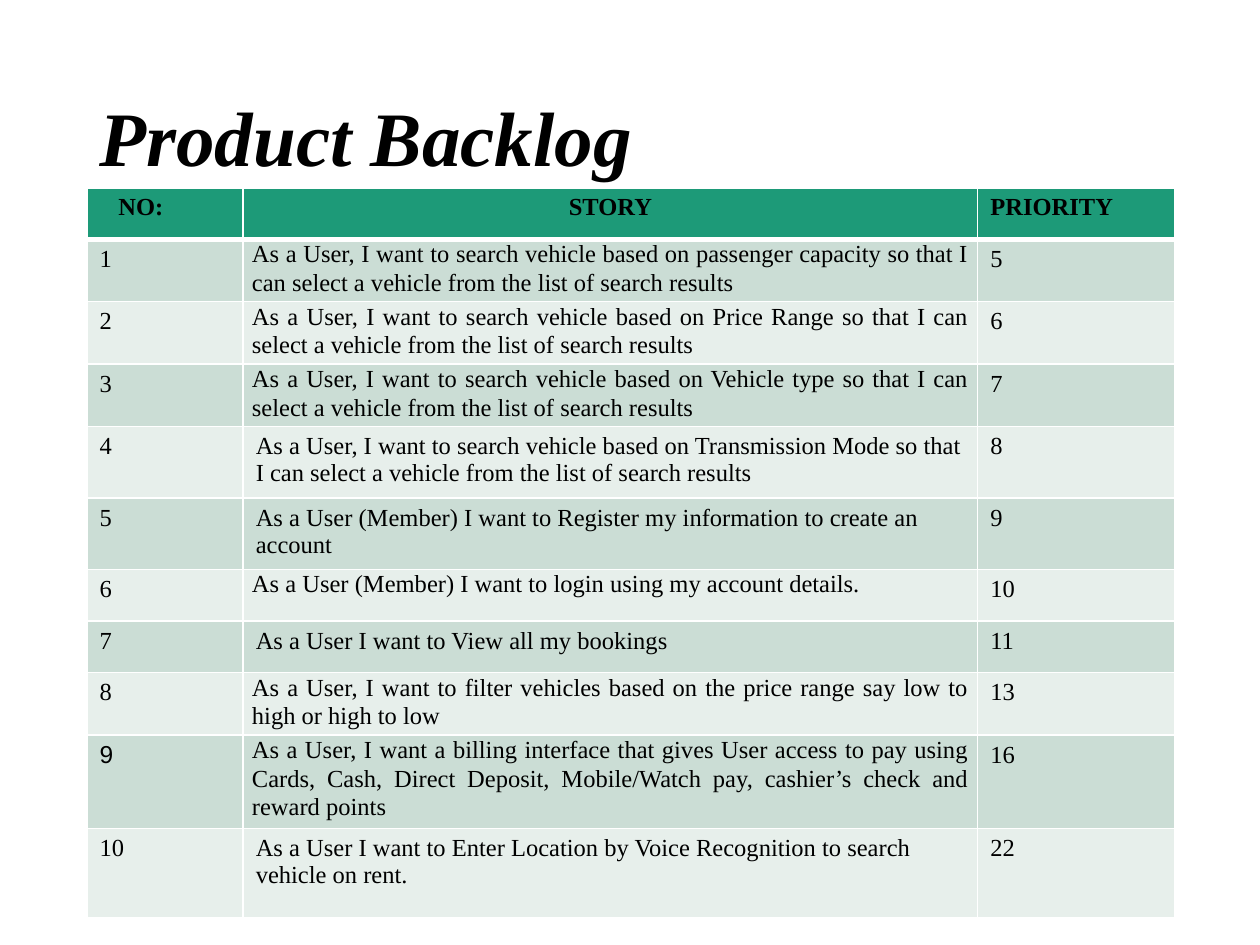
from lxml.etree import SubElement
from pptx import Presentation
from pptx.dml.color import RGBColor as RGB
from pptx.enum.text import MSO_ANCHOR as Anchor, PP_ALIGN as Align
from pptx.oxml.ns import qn
from pptx.util import Inches, Pt

COLORS = {"text": "000000", "line": "FFFFFF", "header": "1D9A78",
          "odd": "CBDDD5", "even": "E7EFEB"}
SERIF, SANS = "Times New Roman", "Arial"
TITLE = "Product Backlog"
HEADER = ("NO:", "STORY", "PRIORITY")
HEADER_H = 0.41
STORIES = [
    ("As a User, I want to search vehicle based on passenger capacity so that I can select a vehicle from the list of search results", 5, 0.47, True),
    ("As a User, I want to search vehicle based on Price Range so that I can select a vehicle from the list of search results", 6, 0.47, True),
    ("As a User, I want to search vehicle based on Vehicle type so that I can select a vehicle from the list of search results", 7, 0.47, True),
    ("As a User, I want to search vehicle based on Transmission Mode so that I can select a vehicle from the list of search results", 8, 0.55, False),
    ("As a User (Member) I want to Register my information to create an account", 9, 0.55, False),
    ("As a User (Member) I want to login using my account details.", 10, 0.41, True),
    ("As a User I want to View all my bookings", 11, 0.41, False),
    ("As a User, I want to filter vehicles based on the price range say low to high or high to low", 13, 0.47, True),
    ("As a User, I want a billing interface that gives User access to pay using Cards, Cash, Direct Deposit, Mobile/Watch pay, cashier’s check and reward points", 16, 0.7, True),
    ("As a User I want to Enter Location by Voice Recognition to search vehicle on rent.", 22, 0.71, False),
]
SANS_NUMBER = 9
COLS = (1.24, 5.83, 1.56)
LEFT, TABLE_TOP = 0.69, 1.49


def add_run(p, text, size, font=SERIF, bold=False, italic=False):
    r = p.add_run()
    r.text = text
    f = r.font
    f.name, f.size, f.bold, f.italic = font, Pt(size), bold, italic
    f.color.rgb = RGB.from_string(COLORS["text"])


def set_borders(cell, top=1, bottom=1):
    tc_pr = cell._tc.get_or_add_tcPr()
    for side, width in (("L", 1), ("R", 1), ("T", top), ("B", bottom)):
        ln = SubElement(tc_pr, qn(f"a:ln{side}"), w=str(Pt(width)))
        fill = SubElement(ln, qn("a:solidFill"))
        SubElement(fill, qn("a:srgbClr"), val=COLORS["line"])


def fill_cell(cell, text, color, align=Align.LEFT, tight=False,
              left=0.1, font=SERIF, bold=False, top=1, bottom=1):
    set_borders(cell, top, bottom)
    cell.fill.solid()
    cell.fill.fore_color.rgb = RGB.from_string(COLORS[color])
    cell.margin_left = Inches(0.07 if tight else left)
    cell.margin_right = Inches(0.07 if tight else 0.1)
    cell.margin_top = cell.margin_bottom = Inches(0 if tight else 0.05)
    p = cell.text_frame.paragraphs[0]
    p.alignment = Align.JUSTIFY if tight else align
    if tight:
        p.line_spacing = 1.06
    add_run(p, text, 14, font, bold)


def add_title(slide):
    box = slide.shapes.add_textbox(Inches(LEFT), Inches(0.4), Inches(8.62), Inches(1.45))
    tf = box.text_frame
    tf.word_wrap = True
    tf.vertical_anchor = Anchor.MIDDLE
    p = tf.paragraphs[0]
    p.line_spacing = 0.9
    add_run(p, TITLE, 44, bold=True, italic=True)


def add_backlog(slide):
    heights = [HEADER_H] + [height for _, _, height, _ in STORIES]
    table = slide.shapes.add_table(
        len(heights), len(COLS), Inches(LEFT), Inches(TABLE_TOP),
        Inches(sum(COLS)), Inches(sum(heights))).table
    for col, width in zip(table.columns, COLS):
        col.width = Inches(width)
    for row, height in zip(table.rows, heights):
        row.height = Inches(height)

    aligns, lefts = (Align.LEFT, Align.CENTER, Align.LEFT), (0.25, 0.1, 0.1)
    for c, (text, align, left) in enumerate(zip(HEADER, aligns, lefts)):
        fill_cell(table.cell(0, c), text, "header", align, left=left, bold=True, bottom=3)
    for n, (story, priority, _, tight) in enumerate(STORIES, 1):
        color = "odd" if n % 2 else "even"
        top = 3 if n == 1 else 1
        font = SANS if n == SANS_NUMBER else SERIF
        fill_cell(table.cell(n, 0), str(n), color, font=font, top=top)
        fill_cell(table.cell(n, 1), story, color, tight=tight, top=top)
        fill_cell(table.cell(n, 2), str(priority), color, top=top)


def main():
    prs = Presentation()
    prs.slide_width, prs.slide_height = Inches(10), Inches(7.5)
    slide = prs.slides.add_slide(prs.slide_layouts[6])
    add_title(slide)
    add_backlog(slide)
    prs.save("out.pptx")


if __name__ == "__main__":
    main()
